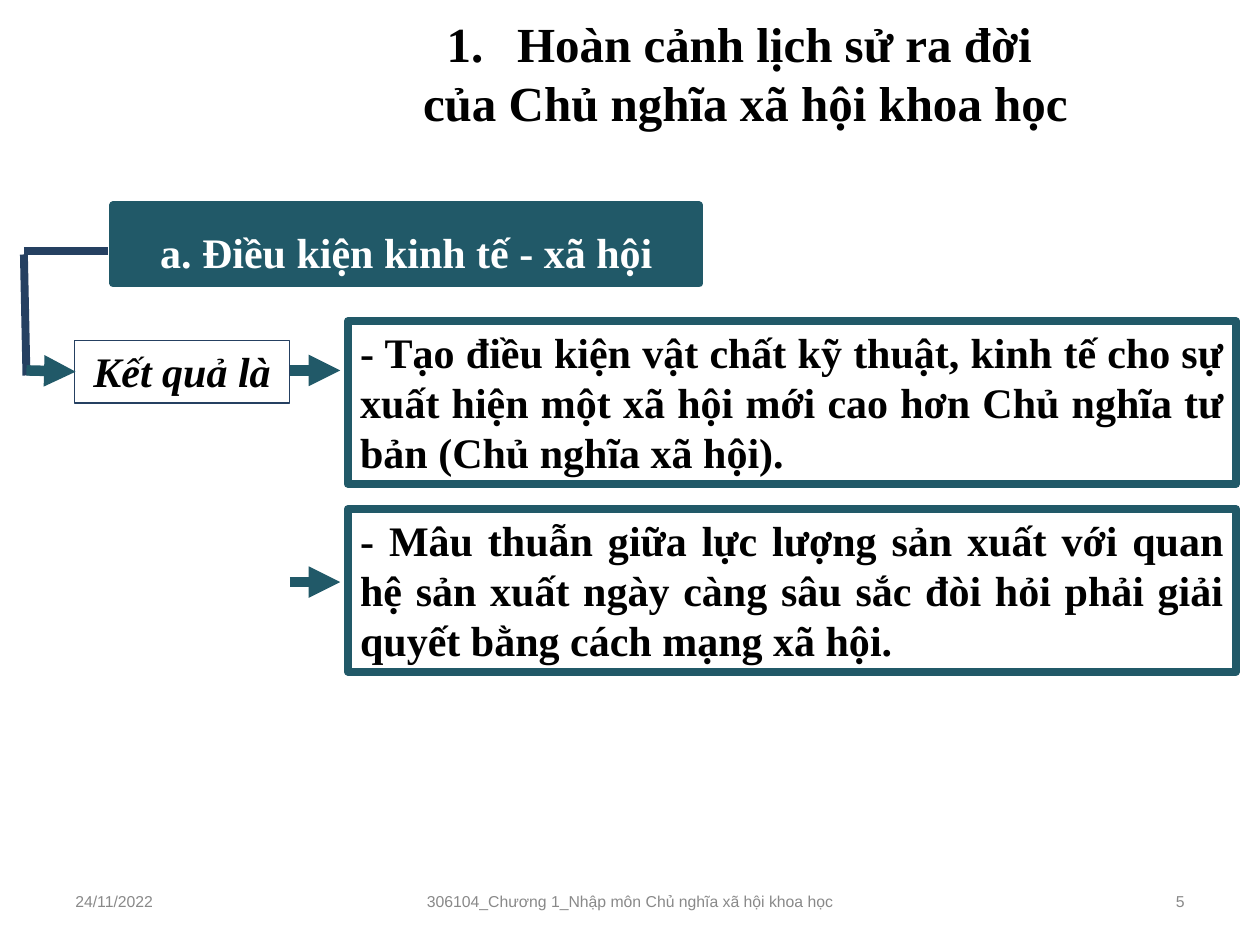
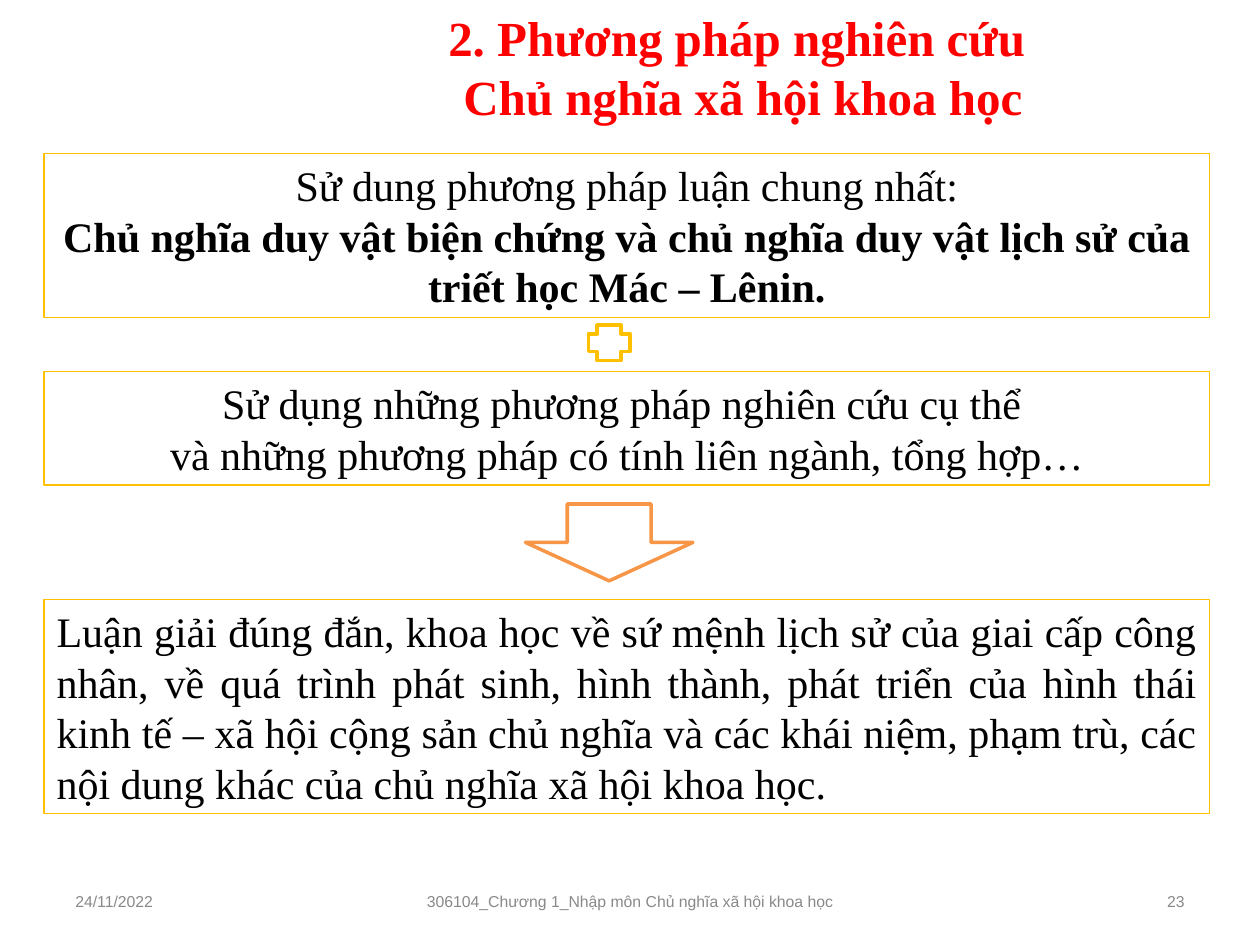
"""Builds two lecture slides on the origins and methods of scientific socialism."""
import lxml.etree
import pptx
import pptx.dml.color
import pptx.enum.shapes
import pptx.enum.text
import pptx.oxml.ns
import pptx.util

Inches = pptx.util.Inches
Pt = pptx.util.Pt
ALIGN = pptx.enum.text.PP_ALIGN
ANCHOR = pptx.enum.text.MSO_ANCHOR
AUTO_SIZE = pptx.enum.text.MSO_AUTO_SIZE
SHAPE = pptx.enum.shapes.MSO_SHAPE
qn = pptx.oxml.ns.qn

COLORS = {
    "teal": "215968",
    "navy": "254061",
    "gold": "FFC000",
    "orange": "F79646",
    "red": "FF0000",
    "black": "000000",
    "white": "FFFFFF",
    "gray": "898989",
}
BODY_FONT = {"name": "Times New Roman", "size": Pt(24), "bold": False}
BOLD_FONT = {**BODY_FONT, "bold": True}
TITLE_FONT = {**BOLD_FONT, "size": Pt(28)}
FOOTER_FONT = {"name": "Arial", "size": Pt(9)}
CENTERED = {"alignment": ALIGN.CENTER}
JUSTIFIED = {"alignment": ALIGN.JUSTIFY}
TIGHT = {"line_spacing": Pt(28.5), "space_before": Pt(4.5)}
HEADING = {**CENTERED, "line_spacing": 1.3, "space_before": Pt(4.5), "space_after": Pt(4.5)}
FOOTER_TOP, FOOTER_HEIGHT = 6.95, 0.4


def rgb(color):
    return pptx.dml.color.RGBColor.from_string(COLORS[color])


def set_attributes(target, values):
    for name, value in values.items():
        setattr(target, name, value)


def write_text(shape, lines, font, paragraph, color="black", anchor=ANCHOR.TOP,
               auto_size=AUTO_SIZE.SHAPE_TO_FIT_TEXT):
    """Write each line, or (line, font) pair, as one formatted paragraph."""
    frame = shape.text_frame
    set_attributes(frame, {"word_wrap": True, "vertical_anchor": anchor, "auto_size": auto_size})
    for index, line in enumerate(lines):
        text, line_font = line if isinstance(line, tuple) else (line, font)
        para = frame.add_paragraph() if index else frame.paragraphs[0]
        set_attributes(para, paragraph)
        span = para.add_run()
        span.text = text
        set_attributes(span.font, line_font)
        span.font.color.rgb = rgb(color)


def add_title(slide, place, lines, color):
    title = slide.shapes.title
    set_attributes(title, dict(zip(("left", "top", "width", "height"), map(Inches, place))))
    write_text(title, lines, TITLE_FONT, CENTERED, color, auto_size=AUTO_SIZE.NONE)
    return title


def number_title(title):
    """Hang both title lines and number the first one."""
    for para in title.text_frame.paragraphs:
        properties = para._p.get_or_add_pPr()
        properties.set("marL", str(Inches(0.56)))
        properties.set("indent", str(Inches(-0.56)))
    first = title.text_frame.paragraphs[0]._p.get_or_add_pPr()
    lxml.etree.SubElement(first, qn("a:buFont"), typeface="+mj-lt")
    lxml.etree.SubElement(first, qn("a:buAutoNum"), type="arabicPeriod")


def add_footers(slide, number):
    footers = [
        (0.5, 2.33, ALIGN.LEFT, "24/11/2022"),
        (3.25, 3.5, ALIGN.CENTER, "306104_Chương 1_Nhập môn Chủ nghĩa xã hội khoa học"),
        (7.17, 2.33, ALIGN.RIGHT, str(number)),
    ]
    for left, width, alignment, text in footers:
        box = slide.shapes.add_textbox(
            Inches(left), Inches(FOOTER_TOP), Inches(width), Inches(FOOTER_HEIGHT))
        write_text(box, [text], FOOTER_FONT, {"alignment": alignment}, "gray",
                   ANCHOR.MIDDLE, AUTO_SIZE.NONE)


def add_outlined(slide, place, line, weight, fill=None, kind=SHAPE.RECTANGLE):
    shape = slide.shapes.add_shape(kind, *map(Inches, place))
    shape.shadow.inherit = False
    if fill:
        shape.fill.solid()
        shape.fill.fore_color.rgb = rgb(fill)
    else:
        shape.fill.background()
    shape.line.color.rgb = rgb(line)
    shape.line.width = Pt(weight)
    return shape


def add_line(slide, start, end, color, weight, arrow=False):
    line = slide.shapes.add_connector(
        pptx.enum.shapes.MSO_CONNECTOR.STRAIGHT, *map(Inches, start + end))
    line.line.color.rgb = rgb(color)
    line.line.width = Pt(weight)
    properties = line._element.spPr
    if arrow:
        lxml.etree.SubElement(properties.find(qn("a:ln")), qn("a:tailEnd"), type="triangle")
    lxml.etree.SubElement(properties, qn("a:effectLst"))


def add_slide(deck, number):
    slide = deck.slides.add_slide(deck.slide_layouts.get_by_name("Title Only"))
    add_footers(slide, number)
    return slide


def build_conditions(deck):
    slide = add_slide(deck, 5)
    title = add_title(slide, (1.75, 0.06, 8.33, 1.04),
                      ["Hoàn cảnh lịch sử ra đời ", "của Chủ nghĩa xã hội khoa học"], "black")
    number_title(title)

    heading = add_outlined(slide, (0.9, 1.63, 4.65, 0.62), "teal", 4.5, "teal")
    write_text(heading, ["a. Điều kiện kinh tế - xã hội"], BOLD_FONT, HEADING, "white")
    result = add_outlined(slide, (0.59, 2.7, 1.71, 0.5), "navy", 0.75)
    write_text(result, ["Kết quả là"], {**BOLD_FONT, "italic": True}, {**CENTERED, **TIGHT})

    outcomes = [
        (2.55, 2.94, "- Tạo điều kiện vật chất kỹ thuật, kinh tế cho sự xuất hiện một xã hội "
                     "mới cao hơn Chủ nghĩa tư bản (Chủ nghĩa xã hội)."),
        (4.04, 4.62, "- Mâu thuẫn giữa lực lượng sản xuất với quan hệ sản xuất ngày càng sâu "
                     "sắc đòi hỏi phải giải quyết bằng cách mạng xã hội."),
    ]
    for top, arrow_top, text in outcomes:
        box = add_outlined(slide, (2.76, top, 7.05, 1.29), "teal", 4.5)
        write_text(box, [text], BOLD_FONT, {**JUSTIFIED, **TIGHT})
        add_line(slide, (2.3, arrow_top), (2.7, arrow_top), "teal", 6, arrow=True)

    add_line(slide, (0.19, 2.02), (0.21, 2.98), "navy", 4.5)
    add_line(slide, (0.21, 2.94), (0.6, 2.95), "teal", 6, arrow=True)
    add_line(slide, (0.19, 1.99), (0.86, 1.99), "navy", 4.5)


def build_methods(deck):
    slide = add_slide(deck, 23)
    add_title(slide, (1.79, 0.01, 8.21, 1.04),
              ["2. Phương pháp nghiên cứu ", "Chủ nghĩa xã hội khoa học"], "red")
    methods = [
        (1.22, 1.3, CENTERED, [
            "Sử dung phương pháp luận chung nhất:",
            ("Chủ nghĩa duy vật biện chứng và chủ nghĩa duy vật lịch sử của "
             "triết học Mác – Lênin.", BOLD_FONT)]),
        (2.95, 0.9, CENTERED, [
            "Sử dụng những phương pháp nghiên cứu cụ thể ",
            "và những phương pháp có tính liên ngành, tổng hợp…"]),
        (4.76, 1.7, JUSTIFIED, [
            "Luận giải đúng đắn, khoa học về sứ mệnh lịch sử của giai cấp công nhân, về quá "
            "trình phát sinh, hình thành, phát triển của hình thái kinh tế – xã hội cộng sản "
            "chủ nghĩa và các khái niệm, phạm trù, các nội dung khác của chủ nghĩa xã hội "
            "khoa học."]),
    ]
    for top, height, paragraph, lines in methods:
        box = add_outlined(slide, (0.35, top, 9.25, height), "gold", 0.75)
        write_text(box, lines, BODY_FONT, paragraph)
    add_outlined(slide, (4.17, 4, 1.33, 0.61), "orange", 2, "white", SHAPE.DOWN_ARROW)
    add_outlined(slide, (4.67, 2.58, 0.33, 0.28), "gold", 2, "white", SHAPE.CROSS)


def main():
    deck = pptx.Presentation()
    set_attributes(deck, {"slide_width": Inches(10), "slide_height": Inches(7.5)})
    build_conditions(deck)
    build_methods(deck)
    deck.save("out.pptx")


if __name__ == "__main__":
    main()
